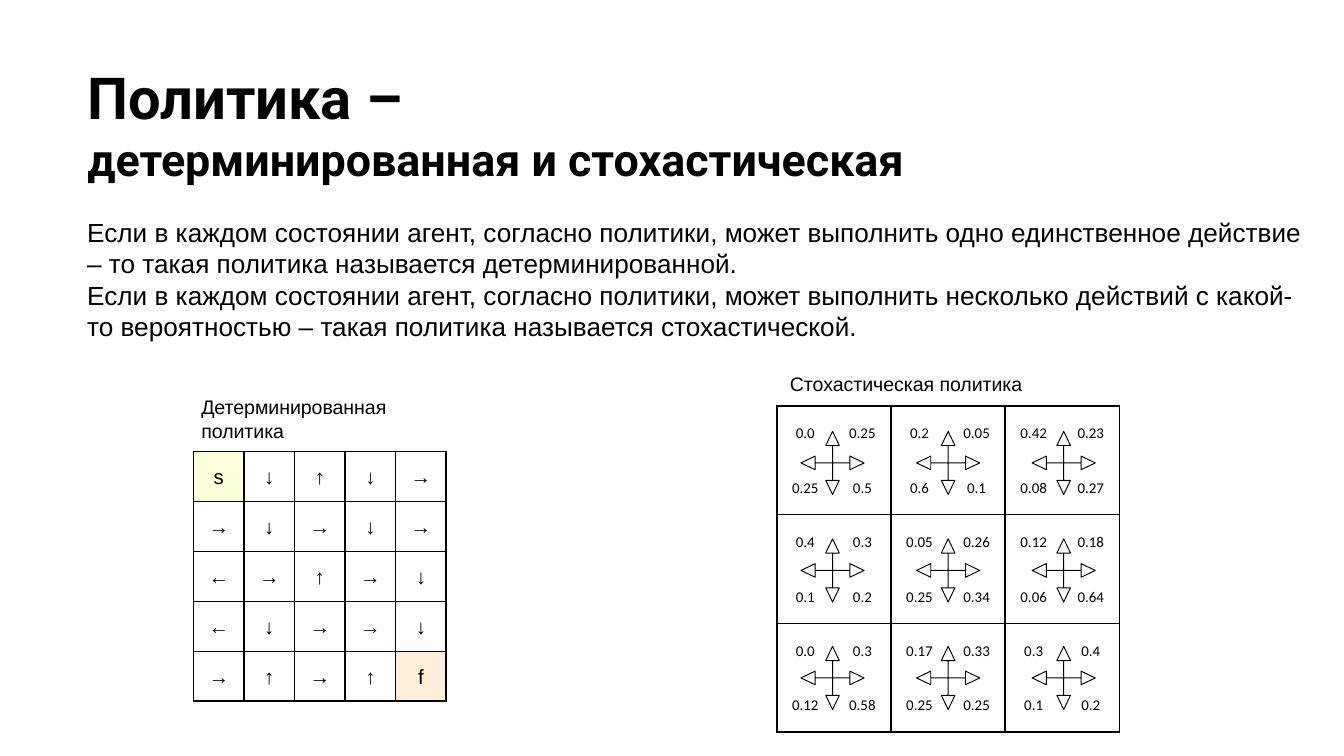
import dataclasses
import itertools

import pptx
import pptx.dml.color
import pptx.enum.shapes
import pptx.enum.text
import pptx.oxml
import pptx.oxml.ns
import pptx.util

Inches, Pt = pptx.util.Inches, pptx.util.Pt
RGB = pptx.dml.color.RGBColor.from_string
ANCHOR = pptx.enum.text.MSO_ANCHOR


@dataclasses.dataclass(frozen=True)
class Theme:
    """Colours, fonts and type sizes of the slide."""
    ink: str = "000000"
    paper: str = "FFFFFF"
    start: str = "FCFFD9"
    finish: str = "FFEED9"
    head: str = "Roboto"
    body: str = "Arial"
    figures: str = "Calibri"
    title: float = 31
    subtitle: float = 24
    text: float = 14
    move: float = 11
    caption: float = 10.5
    chance: float = 8


class Deck:
    """Holds the theme and the current slide and draws each kind of element."""

    def __init__(self, prs, theme):
        self.theme = theme
        self.s = prs.slides.add_slide(prs.slide_layouts[5])

    def font(self, p, name, size, bold=False):
        """Set the font of a whole paragraph."""
        p.font.name, p.font.size, p.font.bold = name, Pt(size), bold
        p.font.color.rgb = RGB(self.theme.ink)

    def title(self, box, head, sub):
        """Fill the title placeholder with a heading and a smaller second line."""
        sp = self.s.shapes.title
        sp.left, sp.top, sp.width, sp.height = map(Inches, box)
        tf = sp.text_frame
        tf.vertical_anchor = ANCHOR.TOP
        tf.auto_size = pptx.enum.text.MSO_AUTO_SIZE.NONE
        tf.margin_left = tf.margin_right = tf.margin_top = tf.margin_bottom = Inches(0.1)
        p = tf.paragraphs[0]
        p.alignment = pptx.enum.text.PP_ALIGN.LEFT
        self.font(p, self.theme.head, self.theme.title, True)
        p.add_run().text = head
        p.add_line_break()
        r = p.add_run()
        r.text, r.font.size = sub, Pt(self.theme.subtitle)

    def text(self, box, lines, size):
        """Add a wrapped text box with one paragraph per line."""
        tf = self.s.shapes.add_textbox(*map(Inches, box)).text_frame
        tf.word_wrap = True
        for i, line in enumerate(lines):
            p = tf.add_paragraph() if i else tf.paragraphs[0]
            p.text = line
            self.font(p, self.theme.body, size)

    def borders(self, cell, sides):
        """Draw the named sides of a cell and hide the others."""
        tcPr = cell._tc.get_or_add_tcPr()
        ns = pptx.oxml.ns.nsdecls("a")
        for i, side in enumerate("LRTB"):
            paint = "<a:noFill/>"
            if side in sides:
                paint = f'<a:solidFill><a:srgbClr val="{self.theme.ink}"/></a:solidFill>'
            tcPr.insert(i, pptx.oxml.parse_xml(f'<a:ln{side} {ns} w="{Pt(1)}">{paint}</a:ln{side}>'))

    def table(self, box, rows, name, size, block=1, fills=None):
        """Add an even grid whose lines frame square blocks of cells."""
        n, m = len(rows), len(rows[0])
        tbl = self.s.shapes.add_table(n, m, *map(Inches, box)).table
        tbl.first_row = tbl.horz_banding = False
        for r, c in itertools.product(range(n), range(m)):
            cell = tbl.cell(r, c)
            cell.margin_left = cell.margin_right = cell.margin_top = Inches(0.01)
            cell.margin_bottom = 0
            cell.vertical_anchor = ANCHOR.MIDDLE
            p = cell.text_frame.paragraphs[0]
            p.text = rows[r][c]
            p.alignment = pptx.enum.text.PP_ALIGN.CENTER
            self.font(p, name, size)
            cell.fill.solid()
            cell.fill.fore_color.rgb = RGB((fills or {}).get(rows[r][c], self.theme.paper))
            edges = {"L": c % block == 0, "R": (c + 1) % block == 0,
                     "T": r % block == 0, "B": (r + 1) % block == 0}
            self.borders(cell, [side for side, drawn in edges.items() if drawn])

    def compass(self, left, top, size):
        """Add an outlined arrow pointing four ways."""
        sp = self.s.shapes.add_shape(pptx.enum.shapes.MSO_SHAPE.QUAD_ARROW,
                                     *map(Inches, (left, top, size, size)))
        for i, value in enumerate((0, 0.108, 0.225)):
            sp.adjustments[i] = value
        sp.shadow.inherit = False
        sp.fill.background()
        sp.line.color.rgb, sp.line.width = RGB(self.theme.ink), Pt(0.5)


MOVES = ["s↓↑↓→", "→↓→↓→", "←→↑→↓", "←↓→→↓", "→↑→↑f"]
CHANCES = [row.split() for row in (
    "0.0 0.25 0.2 0.05 0.42 0.23",
    "0.25 0.5 0.6 0.1 0.08 0.27",
    "0.4 0.3 0.05 0.26 0.12 0.18",
    "0.1 0.2 0.25 0.34 0.06 0.64",
    "0.0 0.3 0.17 0.33 0.3 0.4",
    "0.12 0.58 0.25 0.25 0.1 0.2",
)]
DEFINITIONS = [
    "Если в каждом состоянии агент, согласно политики, может выполнить одно единственное "
    "действие – то такая политика называется детерминированной.",
    "Если в каждом состоянии агент, согласно политики, может выполнить несколько действий "
    "с какой-то вероятностью – такая политика называется стохастической.",
]


def main():
    """Build the slide and save it."""
    prs = pptx.Presentation()
    prs.slide_width = Inches(10)
    prs.slide_height = prs.slide_width * 9 // 16
    theme = Theme()
    deck = Deck(prs, theme)
    deck.title((0.55, 0.36, 9.32, 1.2), "Политика – ", "детерминированная и стохастическая")
    deck.text((0.55, 1.56, 9.32, 1.04), DEFINITIONS, theme.text)
    deck.table((1.44, 3.36, 1.88, 1.86), MOVES, theme.body, theme.move,
               fills={"s": theme.start, "f": theme.finish})
    deck.text((1.4, 2.89, 1.97, 0.47), ["Детерминированная политика"], theme.caption)
    deck.table((5.78, 3.02, 2.55, 2.43), CHANCES, theme.figures, theme.chance, block=2)
    for row, col in itertools.product(range(3), repeat=2):
        deck.compass(5.96 + 0.86 * col, 3.21 + 0.8 * row, 0.47)
    deck.text((5.78, 2.72, 1.97, 0.28), ["Стохастическая политика"], theme.caption)
    prs.save("out.pptx")


if __name__ == "__main__":
    main()
